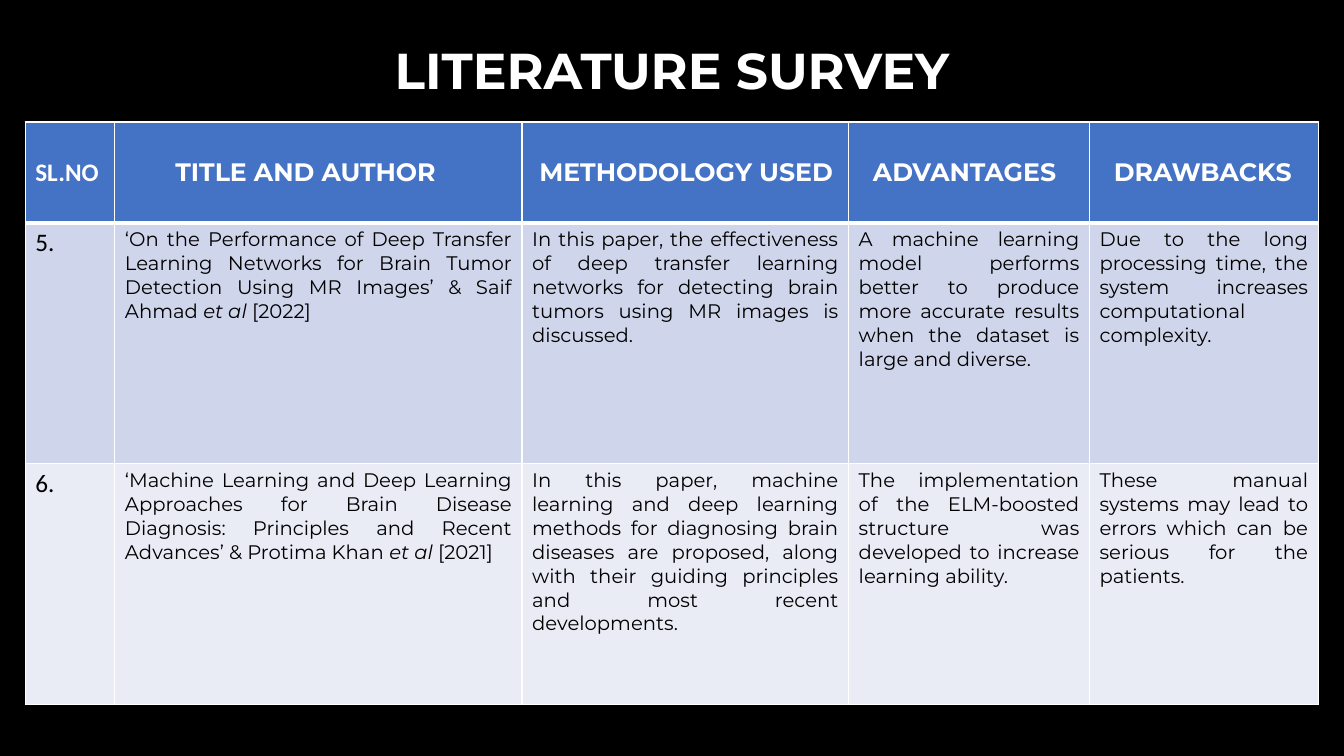
import dataclasses
import typing

import pptx
import pptx.dml.color
import pptx.enum.text
import pptx.oxml
import pptx.oxml.ns
import pptx.util

ALIGN = pptx.enum.text.PP_ALIGN
ANCHOR = pptx.enum.text.MSO_ANCHOR
GRID_COLUMNS, GRID_ROWS = 160, 90
GRID_UNIT = pptx.util.Inches(1 / 12)


@dataclasses.dataclass(frozen=True)
class Theme:
    background: str = "000000"
    light: str = "FFFFFF"
    dark: str = "000000"
    header: str = "4472C4"
    bands: tuple[str, str] = ("CFD5EA", "E9EBF5")
    heading_font: str = "Montserrat"
    number_font: str = "Calibri"
    title_size: int = 36
    label_size: int = 18
    body_size: int = 14
    thin_border: int = 1
    thick_border: int = 3


@dataclasses.dataclass(frozen=True)
class Column:
    label: str
    width: float
    indent: float


@dataclasses.dataclass(frozen=True)
class Paper:
    number: str
    title: str
    year: str
    methodology: str
    advantages: str
    drawbacks: str


THEME = Theme()
TABLE_LEFT, TABLE_TOP = 3, 14.52
HEADER_HEIGHT, PAPER_HEIGHT = 12, 28.7
CELL_INSET = 1.2

COLUMNS = [
    Column("SL.NO", 10.68, 0),
    Column("TITLE AND AUTHOR", 48.48, 6),
    Column("METHODOLOGY USED", 38.88, 0.85),
    Column("ADVANTAGES", 28.68, 1.7),
    Column("DRAWBACKS", 27.24, 1.7),
]
PAPERS = [
    Paper(
        "5.",
        "‘On the Performance of Deep Transfer Learning Networks for Brain Tumor "
        "Detection Using MR Images’ & Saif Ahmad ",
        " [2022]",
        "In this paper, the effectiveness of deep transfer learning networks for "
        "detecting brain tumors using MR images is discussed.",
        "A machine learning model performs better to produce more accurate results "
        "when the dataset is large and diverse.",
        "Due to the long processing time, the system increases computational complexity.",
    ),
    Paper(
        "6.",
        "‘Machine Learning and Deep Learning Approaches for Brain Disease Diagnosis: "
        "Principles and Recent Advances’ & Protima Khan ",
        " [2021]",
        "In this paper, machine learning and deep learning methods for diagnosing brain "
        "diseases are proposed, along with their guiding principles and most recent "
        "developments.",
        "The implementation of the ELM-boosted structure was developed to increase "
        "learning ability.",
        "These manual systems may lead to errors which can be serious for the patients.",
    ),
]


def grid(units: float) -> int:
    return round(units * GRID_UNIT)


def color(value: str) -> pptx.dml.color.RGBColor:
    return pptx.dml.color.RGBColor.from_string(value)


def add_text(paragraph: typing.Any, text: str, *, size: int = THEME.body_size,
             font: str = THEME.heading_font, fill: str = THEME.dark, bold: bool = False,
             italic: bool = False, align: ALIGN = ALIGN.JUSTIFY) -> None:
    paragraph.alignment = align
    run = paragraph.add_run()
    run.text = text
    run.font.size = pptx.util.Pt(size)
    run.font.name = font
    run.font.bold = bold
    run.font.italic = italic
    run.font.color.rgb = color(fill)


def format_cell(cell: typing.Any, fill: str, *, top: int = THEME.thin_border,
                bottom: int = THEME.thin_border) -> None:
    properties = cell._tc.get_or_add_tcPr()
    widths = {"lnL": THEME.thin_border, "lnR": THEME.thin_border, "lnT": top, "lnB": bottom}
    for side, width in widths.items():
        properties.append(pptx.oxml.parse_xml(
            f'<a:{side} {pptx.oxml.ns.nsdecls("a")} w="{pptx.util.Pt(width)}">'
            f'<a:solidFill><a:srgbClr val="{THEME.light}"/></a:solidFill></a:{side}>'
        ))
    cell.fill.solid()
    cell.fill.fore_color.rgb = color(fill)


def add_title(slide: typing.Any) -> None:
    title = slide.shapes.title
    title.left, title.top, title.width, title.height = map(grid, (11, 0, 138, 17.4))
    frame = title.text_frame
    frame.auto_size = pptx.enum.text.MSO_AUTO_SIZE.NONE
    frame.vertical_anchor = ANCHOR.MIDDLE
    paragraph = frame.paragraphs[0]
    paragraph.line_spacing = 0.9
    add_text(paragraph, "LITERATURE SURVEY", size=THEME.title_size,
             fill=THEME.light, bold=True, align=ALIGN.CENTER)


def fill_header(table: typing.Any) -> None:
    table.rows[0].height = grid(HEADER_HEIGHT)
    for index, column in enumerate(COLUMNS):
        table.columns[index].width = grid(column.width)
        cell = table.cell(0, index)
        format_cell(cell, THEME.header, bottom=THEME.thick_border)
        cell.vertical_anchor = ANCHOR.MIDDLE
        cell.margin_left = grid(CELL_INSET + column.indent)
        add_text(cell.text_frame.paragraphs[0], column.label, size=THEME.label_size,
                 font=THEME.heading_font if index else THEME.number_font,
                 fill=THEME.light, bold=True, align=ALIGN.LEFT)


def fill_paper(table: typing.Any, row: int, paper: Paper) -> None:
    table.rows[row].height = grid(PAPER_HEIGHT)
    top = THEME.thick_border if row == 1 else THEME.thin_border
    paragraphs = []
    for index in range(len(COLUMNS)):
        cell = table.cell(row, index)
        format_cell(cell, THEME.bands[row - 1], top=top)
        paragraphs.append(cell.text_frame.paragraphs[0])
    number, title, *findings = paragraphs
    add_text(number, paper.number, size=THEME.label_size, font=THEME.number_font,
             align=ALIGN.LEFT)
    add_text(title, paper.title)
    add_text(title, "et al", italic=True)
    add_text(title, paper.year)
    for paragraph, text in zip(findings, (paper.methodology, paper.advantages, paper.drawbacks)):
        add_text(paragraph, text)


def add_survey(slide: typing.Any) -> None:
    width = sum(column.width for column in COLUMNS)
    height = HEADER_HEIGHT + len(PAPERS) * PAPER_HEIGHT
    table = slide.shapes.add_table(
        len(PAPERS) + 1, len(COLUMNS),
        grid(TABLE_LEFT), grid(TABLE_TOP), grid(width), grid(height),
    ).table
    table.horz_banding = False
    fill_header(table)
    for row, paper in enumerate(PAPERS, start=1):
        fill_paper(table, row, paper)


def main() -> None:
    presentation = pptx.Presentation()
    presentation.slide_width = grid(GRID_COLUMNS)
    presentation.slide_height = grid(GRID_ROWS)
    slide = presentation.slides.add_slide(presentation.slide_layouts[5])
    slide.background.fill.solid()
    slide.background.fill.fore_color.rgb = color(THEME.background)
    add_title(slide)
    add_survey(slide)
    presentation.save("out.pptx")


if __name__ == "__main__":
    main()
